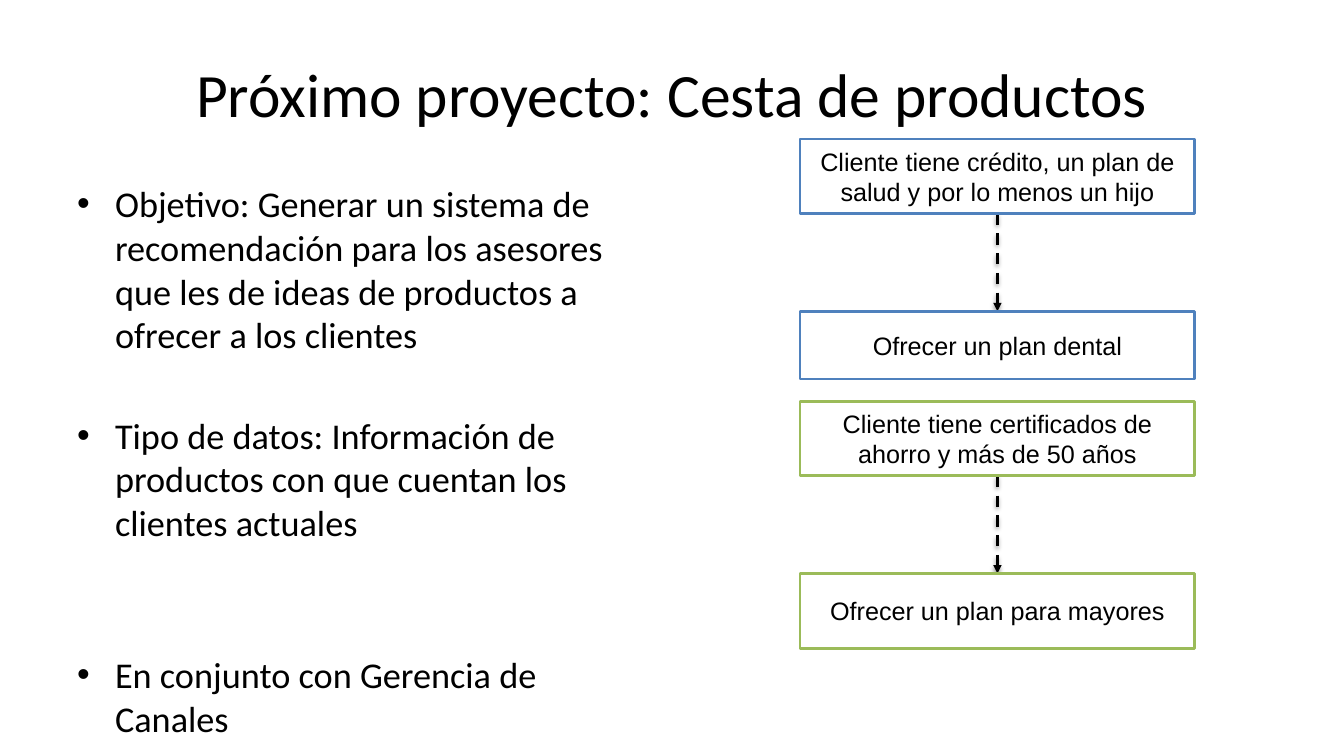
from lxml.etree import SubElement
from pptx import Presentation
from pptx.dml.color import RGBColor
from pptx.enum.dml import MSO_LINE
from pptx.enum.shapes import MSO_CONNECTOR, MSO_SHAPE
from pptx.enum.text import MSO_ANCHOR, MSO_AUTO_SIZE, PP_ALIGN
from pptx.oxml import parse_xml
from pptx.oxml.ns import nsdecls, qn
from pptx.util import Pt

color = RGBColor.from_string

SHADOW = (
    f'<a:effectLst {nsdecls("a")}>'
    '<a:outerShdw blurRad="39370" dist="20320" dir="5400000" rotWithShape="0">'
    '<a:srgbClr val="000000"><a:alpha val="38000"/></a:srgbClr>'
    '</a:outerShdw></a:effectLst>'
)


def write(para, text, size, font="Calibri", align=PP_ALIGN.LEFT):
    para.alignment = align
    span = para.add_run()
    span.text = text
    span.font.size = Pt(size)
    span.font.name = font
    span.font.color.rgb = color("000000")


def place(box, left, top, width, height):
    box.left, box.top, box.width, box.height = map(Pt, (left, top, width, height))
    box.text_frame.word_wrap = True
    box.text_frame.auto_size = MSO_AUTO_SIZE.NONE


deck = Presentation()
deck.slide_width, deck.slide_height = Pt(960.5), Pt(540)
page = deck.slides.add_slide(deck.slide_layouts[1])

# Title
title = page.shapes.title
place(title, 48, 21.6, 864.7, 90)
title.text_frame.vertical_anchor = MSO_ANCHOR.MIDDLE
write(title.text_frame.paragraphs[0], "Próximo proyecto: Cesta de productos", 44,
      align=PP_ALIGN.CENTER)

# Bullets: text and space before
bullets = [
    ("Objetivo: Generar un sistema de recomendación para los asesores "
     "que les de ideas de productos a ofrecer a los clientes", 0),
    ("Tipo de datos: Información de productos con que cuentan los clientes actuales", 40.3),
    ("En conjunto con Gerencia de Canales", 77.5),
]
body = page.placeholders[1]
place(body, 48, 126, 424, 356.4)
for index, (text, gap) in enumerate(bullets):
    frame = body.text_frame
    para = frame.add_paragraph() if index else frame.paragraphs[0]
    para.space_before = Pt(gap)
    para.line_spacing = Pt(31.2)
    write(para, text, 25.9)
    properties = para._p.get_or_add_pPr()
    properties.set("marL", str(Pt(27)))
    properties.set("indent", str(Pt(-27)))
    SubElement(properties, qn("a:buFont"), typeface="Arial")
    SubElement(properties, qn("a:buChar"), char="•")

# Rules: a condition box, a dashed arrow and an offer box
box_left, box_width, box_height = 571.7, 282.2, 53.3
arrow_x = box_left + box_width / 2
rules = [
    ("4F81BD", 99.3, "Cliente tiene crédito, un plan de salud y por lo menos un hijo",
     "Ofrecer un plan dental", 48.5),
    ("9BBB59", 286.7, "Cliente tiene certificados de ahorro y más de 50 años",
     "Ofrecer un plan para mayores", box_height),
]
for outline, top, condition, offer, offer_height in rules:
    offer_top = top + 123
    arrow = page.shapes.add_connector(
        MSO_CONNECTOR.STRAIGHT, Pt(arrow_x), Pt(top + box_height), Pt(arrow_x), Pt(offer_top))
    arrow.line.color.rgb = color("000000")
    arrow.line.width = Pt(2)
    arrow.line.dash_style = MSO_LINE.DASH
    SubElement(arrow.line._get_or_add_ln(), qn("a:tailEnd"), type="triangle")
    arrow._element.spPr.append(parse_xml(SHADOW))

    for text, box_top, height in ((condition, top, box_height),
                                  (offer, offer_top, offer_height)):
        box = page.shapes.add_shape(MSO_SHAPE.RECTANGLE, 0, 0, 0, 0)
        place(box, box_left, box_top, box_width, height)
        box.shadow.inherit = False
        box.fill.solid()
        box.fill.fore_color.rgb = color("FFFFFF")
        box.line.color.rgb = color(outline)
        box.line.width = Pt(2)
        box.text_frame.vertical_anchor = MSO_ANCHOR.MIDDLE
        write(box.text_frame.paragraphs[0], text, 18, font="Arial", align=PP_ALIGN.CENTER)

deck.save("out.pptx")
